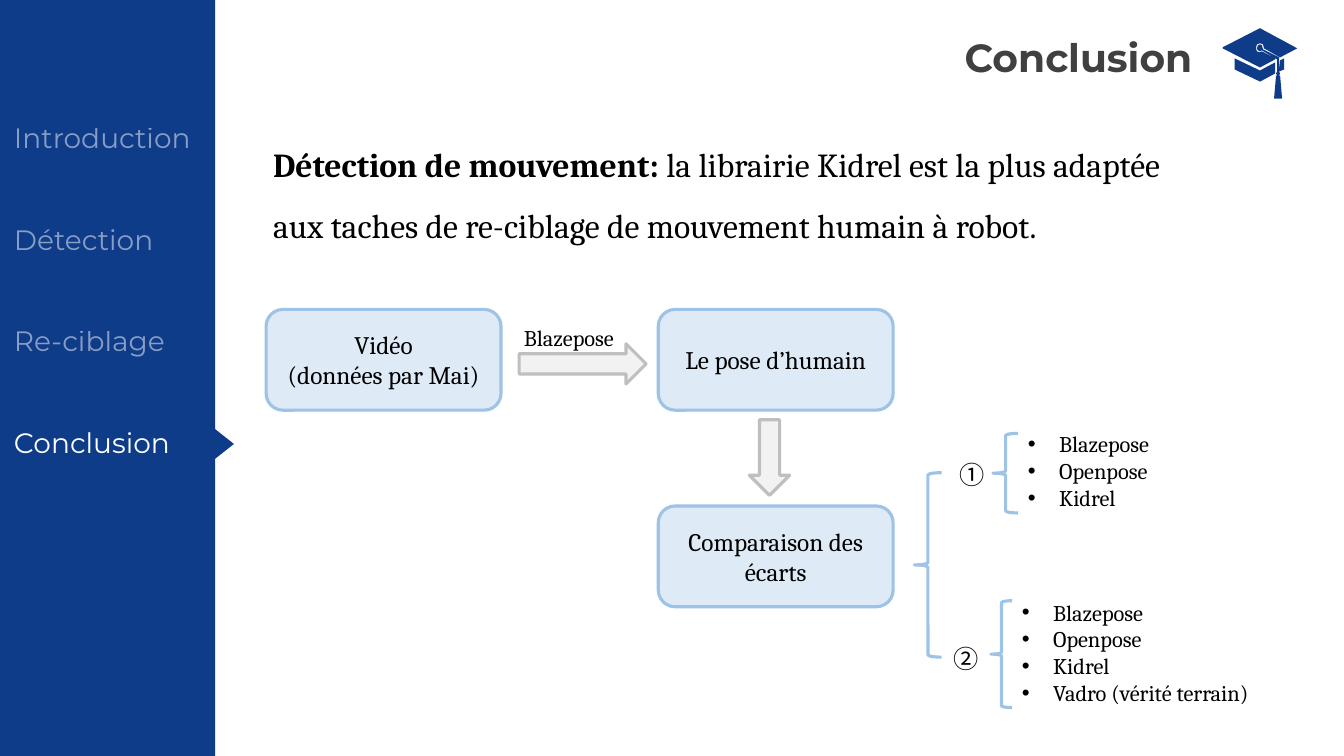
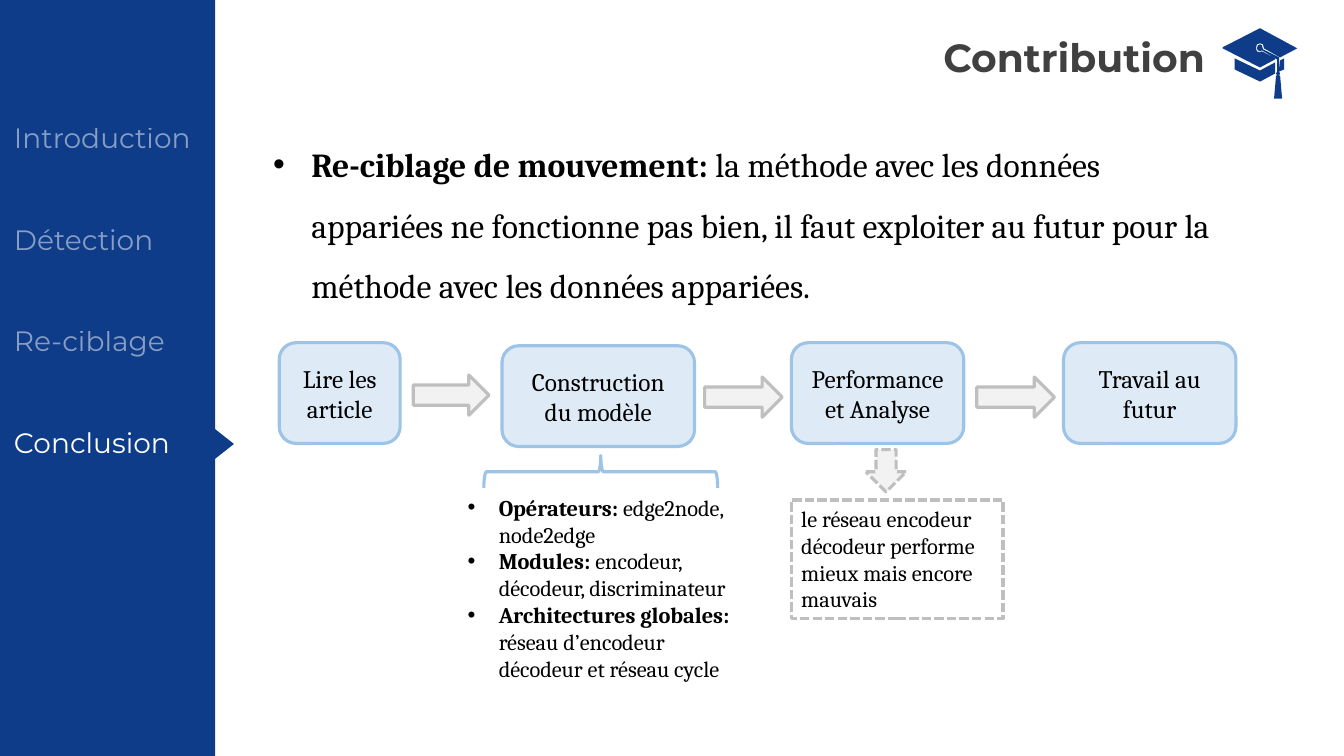
"""Build two closing slides with a navigation sidebar and process diagrams."""
from dataclasses import dataclass

from lxml.etree import SubElement
from pptx import Presentation
from pptx.dml.color import RGBColor
from pptx.enum.dml import MSO_LINE
from pptx.enum.shapes import MSO_SHAPE
from pptx.enum.text import MSO_ANCHOR, PP_ALIGN
from pptx.oxml.ns import qn
from pptx.util import Emu, Inches, Pt


@dataclass(frozen=True)
class Theme:
    navy: str = "0F3C89"
    white: str = "FFFFFF"
    title: str = "404040"
    ink: str = "000000"
    step_fill: str = "DEEBF7"
    step_line: str = "9DC3E6"
    arrow_fill: str = "F2F2F2"
    arrow_line: str = "BFBFBF"
    heading_font: str = "Montserrat"
    body_font: str = "Cambria"
    symbol_font: str = "Noto Sans CJK SC"
    title_size: int = 28
    lead_size: int = 24
    nav_size: int = 20
    step_size: int = 18
    detail_size: int = 16
    line_width: float = 2.25
    faded: int = 50


THEME = Theme()
SLIDE_WIDTH, SLIDE_HEIGHT = Emu(12192000), Inches(7.5)
SECTIONS = ("Introduction", "Détection", "Re-ciblage", "Conclusion")
NAV_TOP, NAV_PITCH = 15.33, 13.43
STEP_HEIGHT, ARROW_HEIGHT = 13.33, 5.33
CAP_CONTOURS = (
    ((1269, 71), (1274, 69), (1274, 58), (1270, 60)),
    ((1225, 58), (1225, 69), (1248, 80), (1250, 81), (1252, 80), (1265, 73),
     (1265, 62), (1250, 70)),
    ((1269, 57), (1253, 49), (1252, 45), (1250, 44), (1248, 45), (1247, 48),
     (1248, 50), (1250, 51), (1252, 50), (1267, 59)),
    ((1287, 48), (1250, 28), (1213, 47), (1213, 48), (1250, 67), (1265, 59),
     (1265, 58), (1252, 51), (1250, 52), (1247, 51), (1246, 48), (1247, 44),
     (1250, 43), (1253, 44), (1254, 48), (1270, 57)),
    ((1269, 57), (1269, 71), (1270, 73), (1269, 75), (1270, 75), (1272, 98),
     (1264, 98), (1266, 75), (1267, 75), (1266, 73), (1267, 71), (1267, 59)),
)


def place(left, top, width, height):
    """Turn percentages of the slide's width and height into lengths."""
    return (Emu(round(SLIDE_WIDTH * left / 100)), Emu(round(SLIDE_HEIGHT * top / 100)),
            Emu(round(SLIDE_WIDTH * width / 100)), Emu(round(SLIDE_HEIGHT * height / 100)))


def add_bullet(para, indent):
    """Give a paragraph a hanging bullet."""
    properties = para._p.get_or_add_pPr()
    properties.set("marL", str(Inches(indent)))
    properties.set("indent", str(-Inches(indent)))
    SubElement(properties, qn("a:buFont"), typeface="Arial")
    SubElement(properties, qn("a:buChar"), char="•")


def write(shape, paragraphs, size, font=THEME.body_font, color=THEME.ink, bold=None,
          align=PP_ALIGN.LEFT, anchor=MSO_ANCHOR.TOP, spacing=None, indent=None):
    """Fill a shape with paragraphs, each a string or a (bold, regular) pair."""
    frame = shape.text_frame
    frame.word_wrap = True
    frame.vertical_anchor = anchor
    for index, content in enumerate(paragraphs):
        para = frame.add_paragraph() if index else frame.paragraphs[0]
        para.alignment = align
        if indent:
            add_bullet(para, indent)
        if spacing:
            para.line_spacing = spacing
        para.font.name, para.font.size, para.font.bold = font, Pt(size), bold
        para.font.color.rgb = RGBColor.from_string(color)
        if isinstance(content, str):
            para.add_run().text = content
        else:
            for text, strong in zip(content, (True, False)):
                span = para.add_run()
                span.text, span.font.bold = text, strong


def add_text(page, area, paragraphs, size, **style):
    """Add a text box."""
    box = page.shapes.add_textbox(*place(*area))
    write(box, paragraphs, size, **style)
    return box


def add_figure(page, kind, area, fill=None, line=None, dashed=False, rotation=0):
    """Add a preset shape with a flat fill and outline."""
    shape = page.shapes.add_shape(kind, *place(*area))
    shape.shadow.inherit = False
    shape.rotation = rotation
    if fill:
        shape.fill.solid()
        shape.fill.fore_color.rgb = RGBColor.from_string(fill)
    else:
        shape.fill.background()
    if line:
        shape.line.color.rgb = RGBColor.from_string(line)
        shape.line.width = Pt(THEME.line_width)
        if dashed:
            shape.line.dash_style = MSO_LINE.SQUARE_DOT
    else:
        shape.line.fill.background()
    return shape


def add_step(page, left, top, width, *lines):
    """Add a rounded process step."""
    step = add_figure(page, MSO_SHAPE.ROUNDED_RECTANGLE, (left, top, width, STEP_HEIGHT),
                      THEME.step_fill, THEME.step_line)
    write(step, lines, THEME.step_size, align=PP_ALIGN.CENTER, anchor=MSO_ANCHOR.MIDDLE)


def add_arrow(page, left, top, width, height=ARROW_HEIGHT, kind=MSO_SHAPE.RIGHT_ARROW,
              dashed=False):
    """Add a grey block arrow."""
    add_figure(page, kind, (left, top, width, height), THEME.arrow_fill,
               THEME.arrow_line, dashed)


def add_brace(page, *area, rotation=0):
    """Add a blue left brace."""
    add_figure(page, MSO_SHAPE.LEFT_BRACE, area, line=THEME.step_line, rotation=rotation)


def add_list(page, area, items):
    """Add a bulleted list of details."""
    add_text(page, area, items, THEME.detail_size, indent=0.31)


def add_lead(page, content, height, indent=None):
    """Add the leading statement."""
    add_text(page, (19.58, 15.73, 71.3, height), [content], THEME.lead_size,
             spacing=1.5, indent=indent)


def add_cap(page):
    """Draw the graduation cap beside the title."""
    (start, *rest), *others = CAP_CONTOURS
    builder = page.shapes.build_freeform(*start, scale=Inches(0.01))
    builder.add_line_segments(rest)
    for first, *points in others:
        builder.move_to(*first)
        builder.add_line_segments(points)
    cap = builder.convert_to_shape()
    cap.shadow.inherit = False
    cap.fill.solid()
    cap.fill.fore_color.rgb = RGBColor.from_string(THEME.navy)
    cap.line.fill.background()


def add_navigation(page, current):
    """Add the sidebar, its section names and the marker of the current one."""
    add_figure(page, MSO_SHAPE.RECTANGLE, (0, 0, 16, 100), THEME.navy)
    for index, section in enumerate(SECTIONS):
        top = NAV_TOP + index * NAV_PITCH
        box = add_text(page, (0.3, top, 16, 5.87), [section], THEME.nav_size,
                       font=THEME.heading_font, color=THEME.white)
        if section == current:
            add_figure(page, MSO_SHAPE.ISOSCELES_TRIANGLE, (15.38, top + 1.71, 2.48, 2.8),
                       THEME.navy, rotation=90)
        else:
            for tint in box.text_frame._txBody.iter(qn("a:srgbClr")):
                SubElement(tint, qn("a:alpha"), val=str(THEME.faded * 1000))


def add_page(deck, title, left, width):
    """Add a blank page with the shared title, cap and sidebar."""
    page = deck.slides.add_slide(deck.slide_layouts[6])
    add_cap(page)
    add_text(page, (left, 3.73, width, 7.6), [title], THEME.title_size,
             font=THEME.heading_font, color=THEME.title, bold=True)
    add_navigation(page, "Conclusion")
    return page


def build_conclusion(deck):
    """Build the motion detection slide."""
    page = add_page(deck, "Conclusion", 71.03, 19.28)
    add_lead(page, ("Détection de mouvement: ",
                    "la librairie Kidrel est la plus adaptée aux taches de re-ciblage "
                    "de mouvement humain à robot."), 16.53)
    width, left, top = 17.48, 48.98, 40.93
    add_step(page, 19.8, top, width, "Vidéo", "(données par Mai)")
    add_step(page, left, top, width, "Le pose d’humain")
    add_step(page, left, top + 26, width, "Comparaison des écarts")
    add_text(page, (38.25, 42.27, 10.05, 4.93), ["Blazepose"], THEME.detail_size)
    add_arrow(page, 38.63, 45.47, 9.45)
    add_arrow(page, 55.76, 55.53, 3, 10, MSO_SHAPE.DOWN_ARROW)
    add_brace(page, 68.03, 62.53, 2.03, 24.4)
    tools = ["Blazepose", "Openpose", "Kidrel"]
    groups = (
        ("①", (70.65, 60.13), (73.88, 57.33, 1.88, 10.53), (75.75, 56.27, 19.13, 12.13), tools),
        ("②", (70.2, 84.4), (73.73, 79.47, 1.58, 14.13), (75.3, 78.53, 19.13, 15.73),
         [*tools, "Vadro (vérité terrain)"]),
    )
    for number, corner, brace, area, items in groups:
        add_text(page, (*corner, 3.53, 5.33), [number], THEME.step_size,
                 font=THEME.symbol_font)
        add_brace(page, *brace)
        add_list(page, area, items)


def build_contribution(deck):
    """Build the motion retargeting slide."""
    page = add_page(deck, "Contribution", 69.45, 21.45)
    add_lead(page, ("Re-ciblage de mouvement: ",
                    "la méthode avec les données appariées ne fonctionne pas bien, il faut "
                    "exploiter au futur pour la méthode avec les données appariées."),
             24.53, indent=0.38)
    for left, top, width, label in (
            (20.78, 45.33, 9, "Lire les article"),
            (37.35, 45.73, 14.33, "Construction du modèle"),
            (58.88, 45.33, 12.83, "Performance et Analyse"),
            (79.13, 45.33, 12.83, "Travail au futur")):
        add_step(page, left, top, width, label)
    for left, top, width in ((30.75, 49.6, 5.63), (52.43, 49.87, 5.78), (72.68, 49.87, 5.78)):
        add_arrow(page, left, top, width)
    add_brace(page, 43.5, 46.93, 2.4, 30.93, rotation=90)
    add_list(page, (34.05, 64.67, 21.75, 26.53), [
        ("Opérateurs: ", "edge2node, node2edge"),
        ("Modules:", " encodeur, décodeur, discriminateur"),
        ("Architectures globales: ", "réseau d’encodeur décodeur et réseau cycle"),
    ])
    add_arrow(page, 64.43, 59.47, 3, 5.6, MSO_SHAPE.DOWN_ARROW, dashed=True)
    note = add_figure(page, MSO_SHAPE.RECTANGLE, (58.88, 66.13, 15.75, 15.73),
                      line=THEME.arrow_line, dashed=True)
    write(note, ["le réseau encodeur décodeur performe mieux mais encore mauvais"],
          THEME.detail_size)


def main():
    """Build and save the deck."""
    deck = Presentation()
    deck.slide_width, deck.slide_height = SLIDE_WIDTH, SLIDE_HEIGHT
    build_conclusion(deck)
    build_contribution(deck)
    deck.save("out.pptx")


if __name__ == "__main__":
    main()
